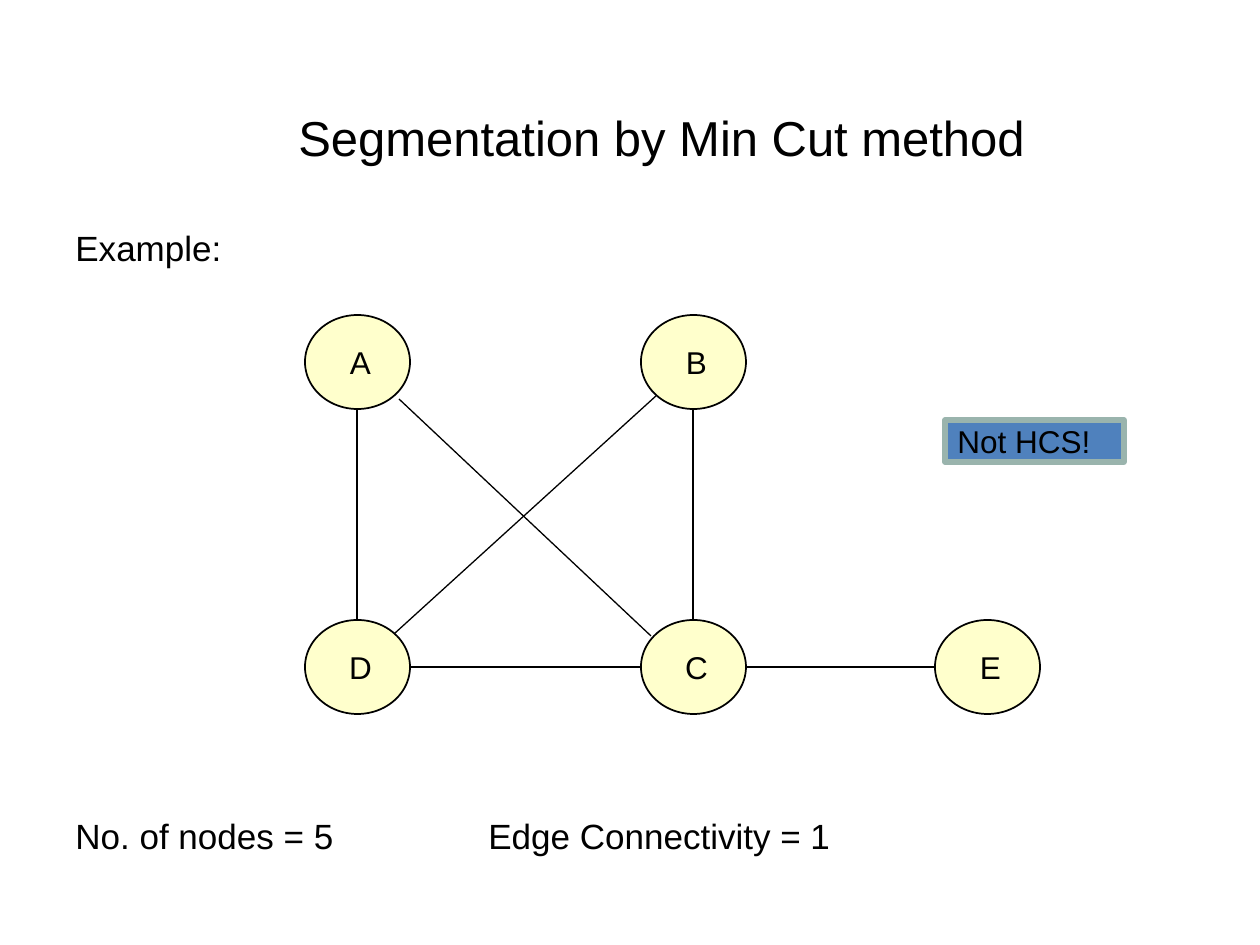
from dataclasses import dataclass

from lxml.etree import SubElement
from pptx import Presentation
from pptx.dml.color import RGBColor
from pptx.enum.shapes import MSO_CONNECTOR, MSO_SHAPE
from pptx.enum.text import MSO_ANCHOR, PP_ALIGN
from pptx.oxml.ns import qn
from pptx.util import Emu, Pt

SCALE = 914400 // 126


def px(n):
    return Emu(n * SCALE)


@dataclass(frozen=True)
class Theme:
    font: str = "Arial"
    ink: str = "000000"
    node: str = "FFFFCC"
    note: str = "4F81BD"
    frame: str = "9AB4AD"
    title: int = 28
    body: int = 20
    label: int = 18


THEME = Theme()


def color(code):
    return RGBColor.from_string(code)


def write(para, text, size):
    run = para.add_run()
    run.text = text
    run.font.name = THEME.font
    run.font.size = Pt(size)
    run.font.color.rgb = color(THEME.ink)


def add_title(slide, box, text):
    shape = slide.shapes.title
    shape.left, shape.top, shape.width, shape.height = map(px, box)
    frame = shape.text_frame
    frame.word_wrap = True
    frame.vertical_anchor = MSO_ANCHOR.BOTTOM
    frame.margin_bottom = px(23)
    para = frame.paragraphs[0]
    para.alignment = PP_ALIGN.CENTER
    write(para, text, THEME.title)


def add_text(slide, box, text, stop=None):
    """Place one line of body text, with an optional tab stop."""
    frame = slide.shapes.add_textbox(*map(px, box)).text_frame
    frame.word_wrap = True
    para = frame.paragraphs[0]
    if stop:
        tabs = SubElement(para._p.get_or_add_pPr(), qn("a:tabLst"))
        SubElement(tabs, qn("a:tab"), pos=str(px(stop)), algn="l")
    write(para, text, THEME.body)


def add_label(slide, kind, box, text, fill, line, width, align):
    shape = slide.shapes.add_shape(kind, *map(px, box))
    shape.shadow.inherit = False
    shape.fill.solid()
    shape.fill.fore_color.rgb = color(fill)
    shape.line.color.rgb = color(line)
    shape.line.width = Pt(width)
    frame = shape.text_frame
    frame.word_wrap = False
    frame.vertical_anchor = MSO_ANCHOR.MIDDLE
    para = frame.paragraphs[0]
    para.alignment = align
    write(para, text, THEME.label)
    return frame


def add_edge(slide, start, end):
    line = slide.shapes.add_connector(
        MSO_CONNECTOR.STRAIGHT, *map(px, start + end))
    line.line.color.rgb = color(THEME.ink)
    line.line.width = Pt(0.75)
    SubElement(line._element.spPr, qn("a:effectLst"))


def add_graph(slide, box):
    left, top = box[:2]
    wide, high = 105, 94
    low = box[3] - high
    nodes = {"A": (0, 0), "B": (336, 0), "D": (0, low),
             "C": (336, low), "E": (box[2] - wide, low)}

    # Nodes, with the letter set a little right of centre
    for name, (x, y) in nodes.items():
        frame = add_label(slide, MSO_SHAPE.OVAL, (left + x, top + y, wide, high),
                          name, THEME.node, THEME.ink, 1, PP_ALIGN.CENTER)
        frame.margin_left, frame.margin_right = px(6), 0

    # Edges, each end given from its node's corner
    south, north = (wide // 2, high), (wide // 2, 0)
    east, west = (wide, high // 2), (0, high // 2)
    edges = [("A", south, "D", north), ("B", south, "C", north),
             ("D", east, "C", west), ("C", east, "E", west),
             ("A", (94, 84), "C", (10, 16)), ("B", (15, 81), "D", (89, 14))]

    def spot(name, shift):
        x, y = nodes[name]
        return left + x + shift[0], top + y + shift[1]

    for first, out, last, into in edges:
        add_edge(slide, spot(first, out), spot(last, into))


def main():
    deck = Presentation()
    deck.slide_width, deck.slide_height = px(1260), px(945)
    slide = deck.slides.add_slide(deck.slide_layouts[5])

    add_title(slide, (126, 32, 1071, 157), "Segmentation by Min Cut method")
    add_text(slide, (63, 220, 1134, 54), "Example:")
    add_graph(slide, (305, 315, 735, 399))
    add_label(slide, MSO_SHAPE.RECTANGLE, (945, 420, 179, 42), "Not HCS!",
              THEME.note, THEME.frame, 3, PP_ALIGN.LEFT)
    add_text(slide, (63, 808, 1134, 54),
             "No. of nodes = 5\tEdge Connectivity = 1", 413)
    deck.save("out.pptx")


if __name__ == "__main__":
    main()
